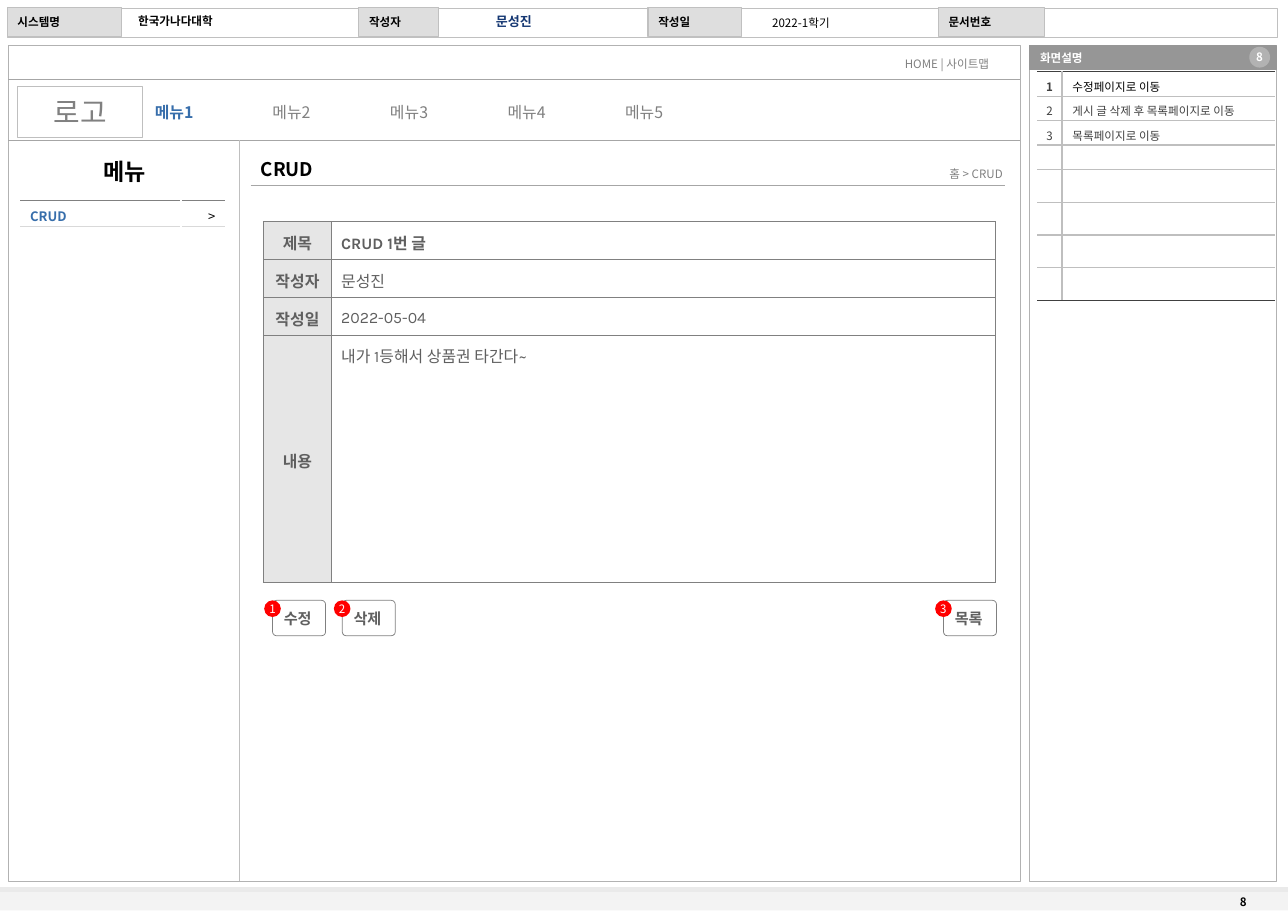
from dataclasses import dataclass

from lxml import etree
from pptx import Presentation
from pptx.dml.color import RGBColor
from pptx.enum.shapes import MSO_CONNECTOR, MSO_SHAPE
from pptx.enum.text import MSO_ANCHOR, PP_ALIGN
from pptx.oxml.ns import qn
from pptx.util import Inches, Pt

RECTANGLE, OVAL, ROUNDED = MSO_SHAPE.RECTANGLE, MSO_SHAPE.OVAL, MSO_SHAPE.ROUNDED_RECTANGLE
STRAIGHT = MSO_CONNECTOR.STRAIGHT
LEFT, CENTER, RIGHT = PP_ALIGN.LEFT, PP_ALIGN.CENTER, PP_ALIGN.RIGHT
TOP, MIDDLE = MSO_ANCHOR.TOP, MSO_ANCHOR.MIDDLE
SIDES = ("L", "R", "T", "B")


@dataclass(frozen=True)
class Theme:
    font: str = "Noto Sans CJK KR"
    form_font: str = "Karla"
    white: str = "FFFFFF"
    black: str = "000000"
    ink: str = "404040"
    form_ink: str = "5F5F5F"
    muted: str = "808080"
    accent: str = "376EAB"
    navy: str = "163873"
    red: str = "FF0000"
    frame: str = "B2B2B2"
    header_line: str = "C0C0C0"
    header_fill: str = "DEDEDE"
    label_fill: str = "E6E6E6"
    panel: str = "969696"
    rule: str = "A6A6A6"
    grid: str = "BFBFBF"
    pale: str = "D9D9D9"
    footer: str = "F3F3F3"
    footer_line: str = "EAEAEA"
    small: float = 8
    body: float = 9
    button: float = 10.5
    form: float = 11
    heading: float = 13
    title: float = 16
    logo: float = 20


THEME = Theme()


def write_text(paragraph, text, *, size=THEME.small, color=THEME.black, bold=False,
               font=THEME.font, align=LEFT):
    """Add one formatted run; an empty text only sets the line height."""
    paragraph.alignment = align
    if not text:
        etree.SubElement(paragraph._p, qn("a:endParaRPr"), sz=str(int(size * 100)))
        return
    run = paragraph.add_run()
    run.text = text
    run.font.size = Pt(size)
    run.font.bold = bold
    run.font.color.rgb = RGBColor.from_string(color)
    run.font.name = font
    etree.SubElement(run._r.get_or_add_rPr(), qn("a:ea"), typeface=THEME.font)


class Wireframe:
    """Draws the elements of a screen design on one slide."""

    def __init__(self, slide):
        self.slide = slide

    def fill_frame(self, frame, text, wrap, inset, style):
        frame.word_wrap = wrap
        frame.vertical_anchor = MIDDLE
        frame.margin_left = frame.margin_right = Inches(inset)
        frame.margin_top = frame.margin_bottom = Inches(inset / 2)
        write_text(frame.paragraphs[0], text, **style)

    def box(self, left, top, width, height, text="", kind=RECTANGLE, fill=None,
            line=None, weight=0.75, wrap=True, inset=0.1, **style):
        shape = self.slide.shapes.add_shape(
            kind, Inches(left), Inches(top), Inches(width), Inches(height))
        shape.shadow.inherit = False
        if fill:
            shape.fill.solid()
            shape.fill.fore_color.rgb = RGBColor.from_string(fill)
        else:
            shape.fill.background()
        if line:
            shape.line.color.rgb = RGBColor.from_string(line)
            shape.line.width = Pt(weight)
        else:
            shape.line.fill.background()
        if text:
            self.fill_frame(shape.text_frame, text, wrap, inset, style)
        return shape

    def label(self, left, top, width, height, text, wrap=True, **style):
        shape = self.slide.shapes.add_textbox(
            Inches(left), Inches(top), Inches(width), Inches(height))
        self.fill_frame(shape.text_frame, text, wrap, 0.1, style)
        return shape.text_frame.paragraphs[0]

    def line(self, x1, y1, x2, y2, color=THEME.rule, weight=0.75):
        connector = self.slide.shapes.add_connector(
            STRAIGHT, Inches(x1), Inches(y1), Inches(x2), Inches(y2))
        connector.line.color.rgb = RGBColor.from_string(color)
        connector.line.width = Pt(weight)
        etree.SubElement(connector._element.spPr, qn("a:effectLst"))

    def table(self, left, top, columns, rows):
        table = self.slide.shapes.add_table(
            len(rows), len(columns), Inches(left), Inches(top),
            Inches(sum(columns)), Inches(sum(rows))).table
        table.first_row = table.horz_banding = False
        for column, width in zip(table.columns, columns):
            column.width = Inches(width)
        for row, height in zip(table.rows, rows):
            row.height = Inches(height)
        return table

    def cell(self, cell, text, borders, weight=1, fill=None, anchor=MIDDLE,
             margins=(0.1, 0.05, 0.01), **style):
        """Fill a cell; borders maps sides to colours, margins are side, top, bottom."""
        properties = cell._tc.get_or_add_tcPr()
        for side in SIDES:
            border = etree.SubElement(properties, qn(f"a:ln{side}"), w=str(Pt(weight)))
            if side in borders:
                solid = etree.SubElement(border, qn("a:solidFill"))
                etree.SubElement(solid, qn("a:srgbClr"), val=borders[side])
            else:
                etree.SubElement(border, qn("a:noFill"))
        if fill:
            cell.fill.solid()
            cell.fill.fore_color.rgb = RGBColor.from_string(fill)
        else:
            cell.fill.background()
        cell.vertical_anchor = anchor
        cell.margin_left = cell.margin_right = Inches(margins[0])
        cell.margin_top, cell.margin_bottom = Inches(margins[1]), Inches(margins[2])
        write_text(cell.text_frame.paragraphs[0], text, **style)


def draw_document_header(page):
    page.box(0, 8.55, 12.38, 0.2, fill=THEME.footer)
    page.line(0, 8.55, 12.38, 8.55, THEME.footer_line, 3)
    page.label(11.82, 8.55, 0.55, 0.24, "8", bold=True)
    page.box(0.07, 0.08, 12.21, 0.28, fill=THEME.white, line=THEME.header_line)
    for left, width, text in ((0.07, 1.1, "시스템명"), (3.45, 0.77, "작성자"),
                              (6.23, 0.9, "작성일"), (9.02, 1.02, "문서번호")):
        page.box(left, 0.07, width, 0.28, text, fill=THEME.header_fill,
                 line=THEME.header_line, bold=True)
    page.label(1.23, 0.08, 2.22, 0.24, "한국가나다대학", bold=True)
    page.label(4.23, 0.08, 1.42, 0.25, "문성진", size=THEME.body,
               color=THEME.navy, bold=True, align=CENTER)
    page.label(7.31, 0.1, 0.78, 0.24, "2022-1학기", wrap=False, align=CENTER)


def draw_main_menu(page):
    first, *others = (f"메뉴{number}" for number in range(1, 6))
    menu = page.label(1.39, 0.93, 6.52, 0.29, first, size=THEME.form,
                      color=THEME.accent, bold=True)
    tabs = etree.SubElement(menu._p.get_or_add_pPr(), qn("a:tabLst"))
    for index, text in enumerate(others, 1):
        etree.SubElement(tabs, qn("a:tab"), pos=str(Inches(1.13 * index)), algn="l")
        write_text(menu, f"\t{text}", size=THEME.form, color=THEME.muted)


def draw_site_frame(page):
    page.box(0.08, 0.44, 9.73, 8.03, line=THEME.frame)
    for y in (0.76, 1.35):
        page.line(0.08, y, 9.81, y)
    page.line(2.3, 1.35, 2.3, 8.47, THEME.grid, 0.25)
    page.label(8.6, 0.49, 1.06, 0.24, "HOME | 사이트맵", wrap=False, color=THEME.muted)
    page.box(0.17, 0.83, 1.2, 0.49, "로고", fill=THEME.white, line=THEME.grid,
             weight=0.25, size=THEME.logo, color=THEME.muted, align=CENTER)
    page.label(0.08, 1.46, 2.23, 0.37, "메뉴", size=THEME.title, bold=True, align=CENTER)
    side_menu = page.table(0.19, 1.93, (1.55, 0.43), (0.25,))
    borders = {"L": THEME.white, "R": THEME.white, "T": THEME.muted, "B": THEME.pale}
    page.cell(side_menu.cell(0, 0), "CRUD", borders, size=THEME.body,
              color=THEME.accent, bold=True)
    page.cell(side_menu.cell(0, 1), ">", borders, size=THEME.body, align=RIGHT)
    page.line(2.41, 1.78, 9.66, 1.78)
    page.label(2.41, 1.46, 0.71, 0.32, "CRUD", wrap=False, size=THEME.heading, bold=True)
    page.label(8.97, 1.55, 0.77, 0.24, "홈 > CRUD", wrap=False,
               color=THEME.muted, align=RIGHT)


def draw_post(page):
    posts = (("제목", "CRUD 1번 글"), ("작성자", "문성진"), ("작성일", "2022-05-04"),
             ("내용", "내가 1등해서 상품권 타간다~"))
    table = page.table(2.53, 2.13, (0.66, 6.38), (0.365, 0.365, 0.365, 2.375))
    style = dict(borders=dict.fromkeys(SIDES, THEME.muted), weight=0.5, size=THEME.form,
                 color=THEME.form_ink, font=THEME.form_font, margins=(0.09, 0.08, 0.05))
    for row, (name, value) in enumerate(posts):
        page.cell(table.cell(row, 0), name, fill=THEME.label_fill, bold=True,
                  align=CENTER, **style)
        page.cell(table.cell(row, 1), value, bold=row == 0,
                  anchor=TOP if name == "내용" else MIDDLE, **style)
    for number, (left, text) in enumerate(((2.62, "수정"), (3.29, "삭제"), (9.07, "목록")), 1):
        button = page.box(left, 5.77, 0.51, 0.34, text, ROUNDED, THEME.white, THEME.muted,
                          0.5, wrap=False, size=THEME.button, color=THEME.form_ink,
                          font=THEME.form_font, bold=True)
        button.adjustments[0] = 0.11
        page.box(left - 0.08, 5.77, 0.16, 0.16, str(number), OVAL, THEME.red, wrap=False,
                 inset=0, color=THEME.white, align=CENTER)


def draw_description(page):
    page.box(9.9, 0.67, 2.37, 7.8, line=THEME.frame, weight=0.5)
    page.box(9.9, 0.44, 2.37, 0.23, "화면설명", fill=THEME.panel, line=THEME.panel,
             weight=0.5, color=THEME.white, bold=True)
    page.box(12.01, 0.45, 0.2, 0.2, "8", OVAL, THEME.frame, wrap=False, inset=0,
             color=THEME.white, bold=True, align=CENTER)
    notes = ("수정페이지로 이동", "게시 글 삭제 후 목록페이지로 이동", "목록페이지로 이동")
    heights = (0.235,) * 4 + (0.315,) * 4
    table = page.table(9.97, 0.69, (0.24, 2.05), heights)
    last = len(heights) - 1
    for row in range(len(heights)):
        borders = {"T": THEME.ink if row == 0 else THEME.grid,
                   "B": THEME.ink if row == last else THEME.grid}
        used = row < len(notes)
        page.cell(table.cell(row, 0), str(row + 1) if used else "",
                  borders | {"R": THEME.grid}, fill=THEME.white, color=THEME.ink,
                  margins=(0.02, 0.05, 0.01), bold=row == 0, align=CENTER)
        page.cell(table.cell(row, 1), notes[row] if used else "",
                  borders | {"L": THEME.grid}, fill=THEME.white,
                  color=THEME.black if row == 0 else THEME.ink)


def main():
    presentation = Presentation()
    presentation.slide_width = Inches(12.382)
    presentation.slide_height = Inches(8.755)
    page = Wireframe(presentation.slides.add_slide(presentation.slide_layouts[6]))
    for draw in (draw_document_header, draw_site_frame, draw_main_menu,
                 draw_description, draw_post):
        draw(page)
    presentation.save("out.pptx")


if __name__ == "__main__":
    main()
